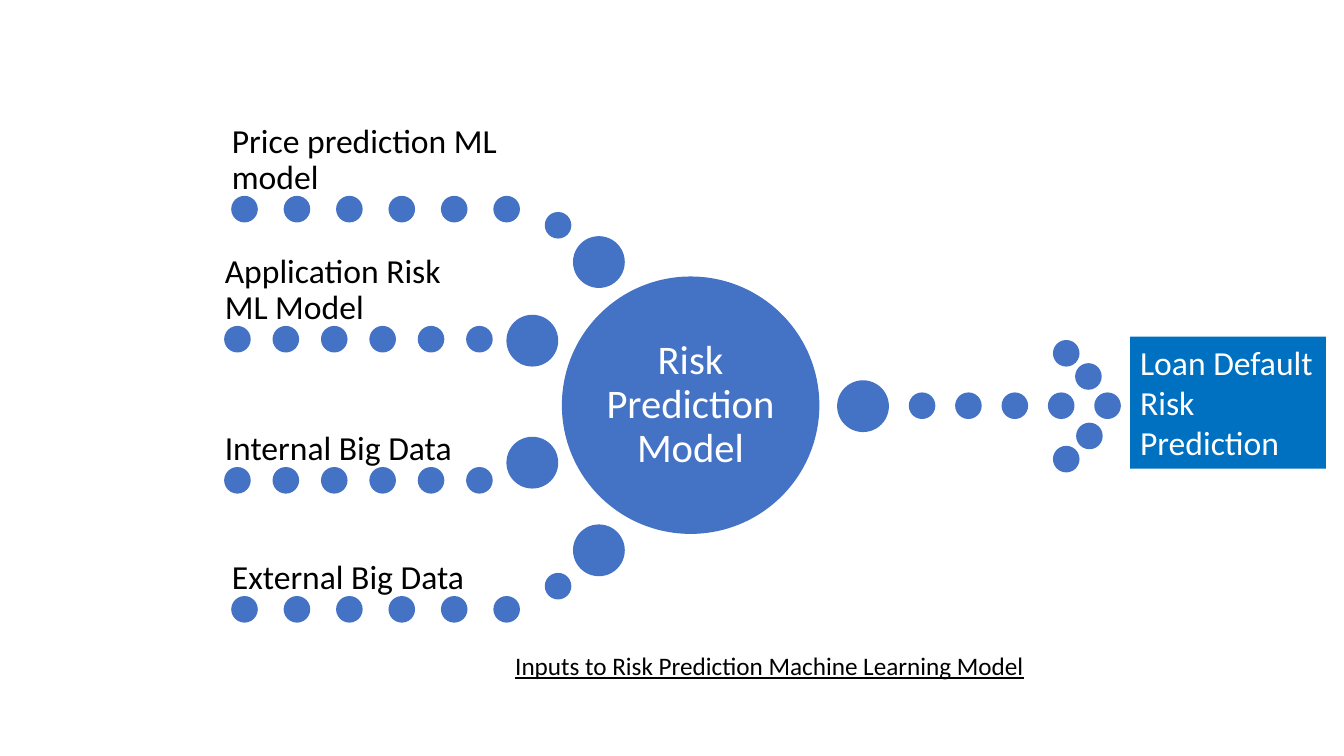
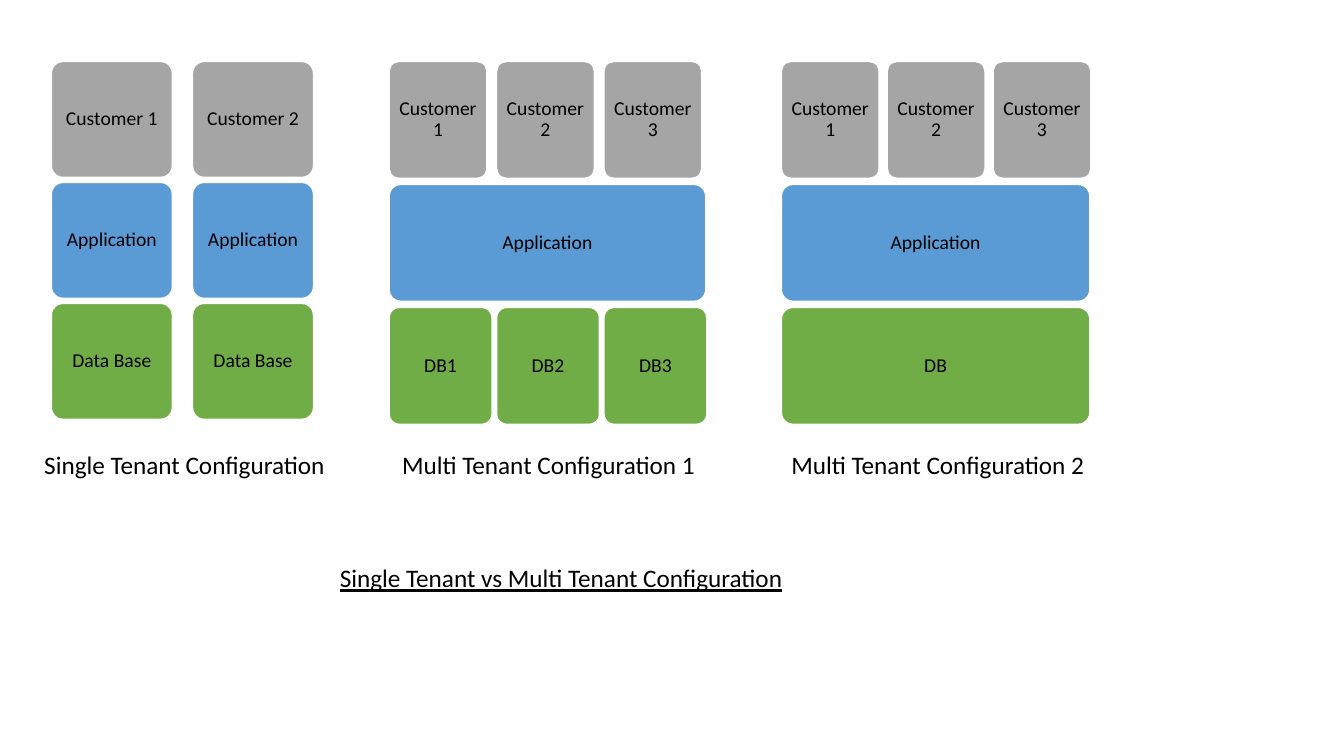
from dataclasses import dataclass
from typing import Any

from pptx import Presentation
from pptx.dml.color import RGBColor
from pptx.enum import shapes, text
from pptx.util import Inches, Pt

BLUE = RGBColor(0x44, 0x72, 0xC4)
BOX_BLUE = RGBColor(0x00, 0x70, 0xC0)
GREY = RGBColor(0xA5, 0xA5, 0xA5)
SKY = RGBColor(0x5B, 0x9B, 0xD5)
GREEN = RGBColor(0x70, 0xAD, 0x47)
BLACK = RGBColor(0, 0, 0)
WHITE = RGBColor(255, 255, 255)

FONT = "Calibri"
DOT, BIG_DOT = 0.25, 0.5
LEFT, CENTER = text.PP_ALIGN.LEFT, text.PP_ALIGN.CENTER
TOP, MIDDLE, BOTTOM = (text.MSO_ANCHOR.TOP, text.MSO_ANCHOR.MIDDLE,
                       text.MSO_ANCHOR.BOTTOM)
OVAL = shapes.MSO_SHAPE.OVAL
RECT = shapes.MSO_SHAPE.RECTANGLE
ROUNDED = shapes.MSO_SHAPE.ROUNDED_RECTANGLE


@dataclass(frozen=True)
class Box:
    left: float
    top: float
    width: float
    height: float

    def emu(self) -> tuple[int, ...]:
        return tuple(Inches(v) for v in
                     (self.left, self.top, self.width, self.height))


@dataclass(frozen=True)
class TextStyle:
    size: float
    color: RGBColor = BLACK
    align: Any = LEFT
    anchor: Any = TOP
    spacing: float = 1.0
    inset_x: float = 0.1
    inset_y: float = 0.05
    wrap: bool = True
    underline: bool = False


TITLE = TextStyle(18, wrap=False, underline=True)
CAPTION = TextStyle(18, wrap=False)
FEED = TextStyle(24, anchor=BOTTOM, spacing=0.9, inset_x=0, inset_y=0)
HUB = TextStyle(29, WHITE, CENTER, MIDDLE, 0.9, 0.04, 0.04)
RESULT = TextStyle(24, WHITE)
CELL = TextStyle(14, BLACK, CENTER, MIDDLE, 0.9, 0.05, 0.05)


@dataclass(frozen=True)
class Feed:
    label: str
    left: float
    top: float
    label_width: float
    pitch: float
    big_dot: tuple[float, float]
    bends: tuple[tuple[float, float], ...] = ()


@dataclass(frozen=True)
class Band:
    fill: RGBColor
    labels: tuple[str, ...]
    cell_width: float
    span: float


@dataclass(frozen=True)
class Stack:
    caption: str
    caption_left: float
    caption_width: float
    left: float
    cell_height: float
    row_pitch: float
    bands: tuple[Band, ...]


FEEDS = (
    Feed("Price prediction ML model", 2.3, 1.95, 2.83, 0.52,
         (5.69, 2.35), ((5.41, 2.11),)),
    Feed("Application Risk ML Model", 2.23, 3.24, 2.64, 0.48, (5.03, 3.13)),
    Feed("Internal Big Data", 2.23, 4.64, 2.64, 0.48, (5.03, 4.34)),
    Feed("External Big Data", 2.3, 5.92, 2.83, 0.52,
         (5.69, 5.21), ((5.41, 5.69),)),
)
ARROW_BARBS = ((10.45, 3.38), (10.67, 3.61), (10.68, 4.2), (10.45, 4.43))

CUSTOMERS = ("Customer 1", "Customer 2", "Customer 3")
STACKS = (
    Stack("Single Tenant Configuration", 0.34, 3.02, 0.51, 1.15, 1.2, (
        Band(GREY, CUSTOMERS[:2], 1.2, 2.6),
        Band(SKY, ("Application",) * 2, 1.2, 2.6),
        Band(GREEN, ("Data Base",) * 2, 1.2, 2.6))),
    Stack("Multi Tenant Configuration 1", 3.89, 3.14, 3.86, 1.16, 1.22, (
        Band(GREY, CUSTOMERS, 0.97, 3.1),
        Band(SKY, ("Application",), 3.14, 3.14),
        Band(GREEN, ("DB1", "DB2", "DB3"), 1.02, 3.15))),
    Stack("Multi Tenant Configuration 2", 7.75, 3.14, 7.75, 1.16, 1.22, (
        Band(GREY, CUSTOMERS, 0.97, 3.07),
        Band(SKY, ("Application",), 3.06, 3.06),
        Band(GREEN, ("DB",), 3.06, 3.06))),
)


def set_attrs(target: Any, values: dict[str, Any]) -> None:
    for name, value in values.items():
        setattr(target, name, value)


def write(sp: Any, content: str, style: TextStyle) -> None:
    tf = sp.text_frame
    set_attrs(tf, {
        "word_wrap": style.wrap,
        "auto_size": text.MSO_AUTO_SIZE.NONE,
        "vertical_anchor": style.anchor,
        "margin_left": Inches(style.inset_x),
        "margin_right": Inches(style.inset_x),
        "margin_top": Inches(style.inset_y),
        "margin_bottom": Inches(style.inset_y),
    })
    p = tf.paragraphs[0]
    set_attrs(p, {"alignment": style.align, "line_spacing": style.spacing})
    r = p.add_run()
    r.text = content
    set_attrs(r.font, {"name": FONT, "size": Pt(style.size),
                       "underline": style.underline})
    r.font.color.rgb = style.color


def add_label(s: Any, box: Box, content: str, style: TextStyle) -> None:
    write(s.shapes.add_textbox(*box.emu()), content, style)


def add_figure(s: Any, kind: Any, box: Box, fill: RGBColor,
               line: RGBColor | None = None) -> Any:
    sp = s.shapes.add_shape(kind, *box.emu())
    sp.shadow.inherit = False
    sp.fill.solid()
    sp.fill.fore_color.rgb = fill
    if line is None:
        sp.line.fill.background()
    else:
        sp.line.color.rgb = line
        sp.line.width = Pt(1)
    return sp


def add_dot(s: Any, left: float, top: float, size: float = DOT) -> Any:
    return add_figure(s, OVAL, Box(left, top, size, size), BLUE, BLUE)


def add_dot_row(s: Any, left: float, top: float, pitch: float,
                count: int) -> None:
    for i in range(count):
        add_dot(s, left + i * pitch, top)


def add_titled_slide(prs: Any, title: str, box: Box) -> Any:
    s = prs.slides.add_slide(prs.slide_layouts[5])
    sp = s.shapes.title
    sp.left, sp.top, sp.width, sp.height = box.emu()
    write(sp, title, TITLE)
    return s


def add_feed(s: Any, feed: Feed) -> None:
    add_dot_row(s, feed.left, feed.top, feed.pitch, 6)
    for bend in feed.bends:
        add_dot(s, *bend)
    add_dot(s, *feed.big_dot, BIG_DOT)
    add_label(s, Box(feed.left, feed.top - 0.63, feed.label_width, 0.63),
              feed.label, FEED)


def add_stack(s: Any, stack: Stack) -> None:
    for row, band in enumerate(stack.bands):
        top = 0.61 + row * stack.row_pitch
        gaps = max(len(band.labels) - 1, 1)
        pitch = (band.span - band.cell_width) / gaps
        for col, label in enumerate(band.labels):
            box = Box(stack.left + col * pitch, top,
                      band.cell_width, stack.cell_height)
            sp = add_figure(s, ROUNDED, box, band.fill, WHITE)
            sp.adjustments[0] = 0.1
            write(sp, label, CELL)
    add_label(s, Box(stack.caption_left, 4.41, stack.caption_width, 0.4),
              stack.caption, CAPTION)


def build_risk_slide(prs: Any) -> None:
    s = add_titled_slide(prs, "Inputs to Risk Prediction Machine Learning Model",
                         Box(5.01, 6.4, 5.31, 0.4))
    add_dot(s, 8.31, 3.78, BIG_DOT)
    add_dot_row(s, 9.02, 3.9, 0.46, 5)
    for barb in ARROW_BARBS:
        add_dot(s, *barb)
    write(add_dot(s, 5.58, 2.75, 2.54), "Risk Prediction Model", HUB)
    for feed in FEEDS:
        add_feed(s, feed)
    result = add_figure(s, RECT, Box(11.21, 3.34, 1.94, 1.31), BOX_BLUE)
    write(result, "Loan Default Risk Prediction", RESULT)


def build_tenant_slide(prs: Any) -> None:
    s = add_titled_slide(prs, "Single Tenant vs Multi Tenant Configuration",
                         Box(3.27, 5.53, 4.65, 0.4))
    for stack in STACKS:
        add_stack(s, stack)


def main() -> None:
    prs = Presentation()
    prs.slide_width, prs.slide_height = Inches(13.33), Inches(7.5)
    build_risk_slide(prs)
    build_tenant_slide(prs)
    prs.save("out.pptx")


if __name__ == "__main__":
    main()
